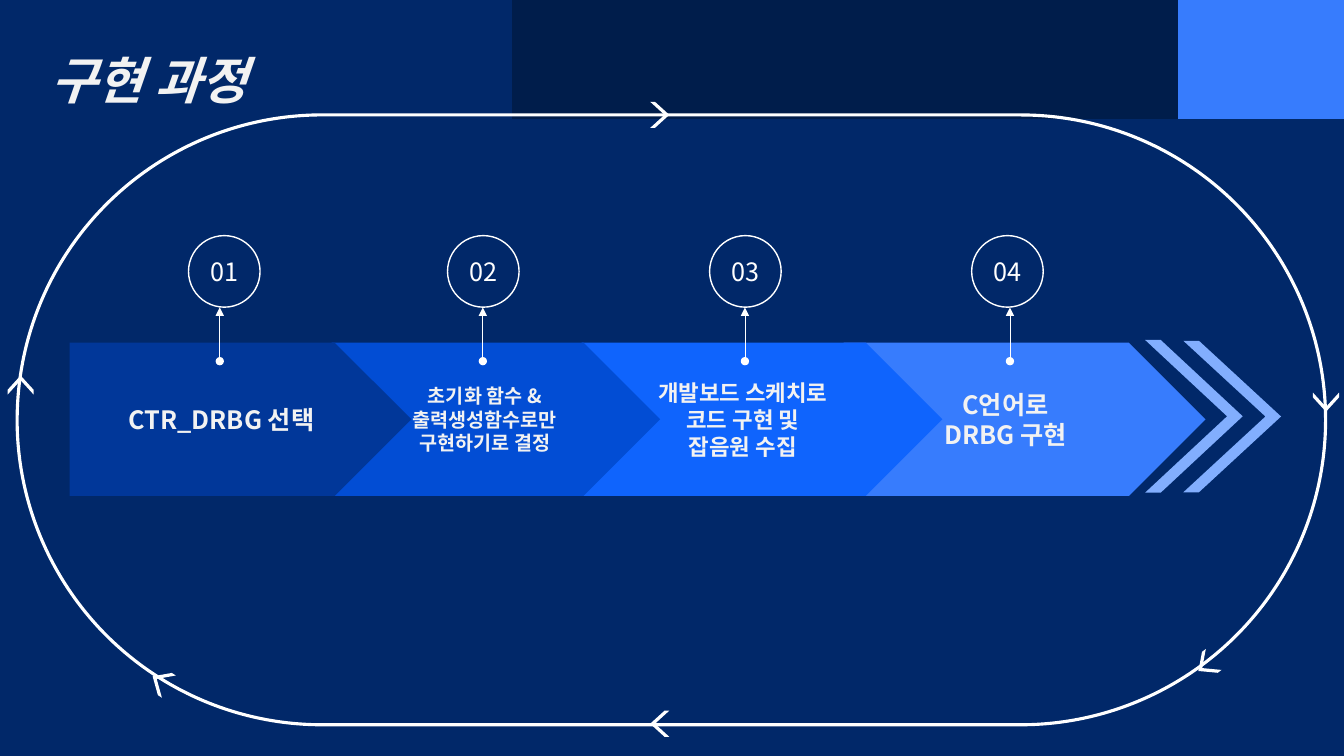
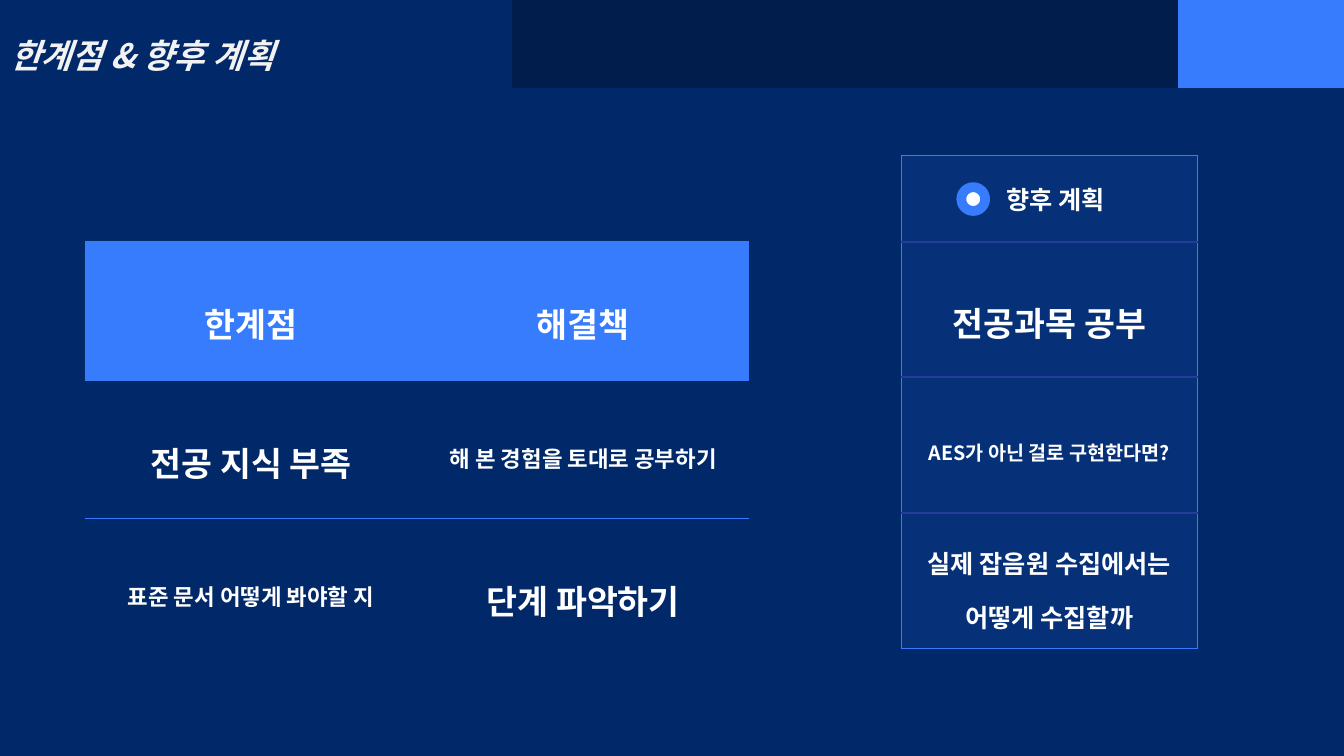
from pptx import Presentation
from pptx.dml.color import RGBColor
from pptx.enum.shapes import MSO_CONNECTOR, MSO_SHAPE
from pptx.enum.text import MSO_ANCHOR, PP_ALIGN
from pptx.oxml.ns import qn
from pptx.util import Pt
from lxml import etree

OVAL, PENTAGON = MSO_SHAPE.OVAL, MSO_SHAPE.PENTAGON
CHEVRON, ROUNDED = MSO_SHAPE.CHEVRON, MSO_SHAPE.ROUNDED_RECTANGLE
LEFT, CENTER = PP_ALIGN.LEFT, PP_ALIGN.CENTER
TOP, MIDDLE = MSO_ANCHOR.TOP, MSO_ANCHOR.MIDDLE

FONT = "Noto Sans CJK KR"
NAVY, DARK, BLUE, PALE = "012869", "001D4B", "377CFD", "82AEFE"
INDIGO, WHITE, OFF_WHITE = "263C9A", "FFFFFF", "F2F2F2"
NO_STYLE = "{2D5ABB26-0587-4C30-8999-92F81FD0307C}"
SLIDE_W, SLIDE_H = 960, 540
INSET = 7.2

# Header band
TITLE_W, BAND_H, BAND_CELLS = 365.8, 63, 5

# Slide 1: left, width, fill, lines, text size, left inset, badge centre, arrow x
STEPS = [
    (49.7, 244.1, "013799", ["CTR_DRBG 선택"], 18, INSET, 160.2, 157),
    (236.9, 234.7, "024DD4", ["초기화 함수 &", "출력생성함수로만", "구현하기로 결정"],
     14, 18.7, 345.2, 344.9),
    (415.4, 257.8, "0F64FD", ["개발보드 스케치로", "코드 구현 및", "잡음원 수집"],
     16, INSET, 532.4, 532.1),
    (602.6, 258.5, BLUE, ["C언어로", "DRBG 구현"], 18, INSET, 719.6, 721.4),
]
STEP_TOP, STEP_H = 244.8, 109.4
BADGE_TOP, BADGE_D = 168.3, 51.1
ARROW_FROM, ARROW_TO = 258, 219.6
END_CHEVRONS = [(817.9, 242.8, 109.2), (845.3, 243.4, 108.2)]  # left, top, height
LOOP = (12.24, 82.1, 934.6, 435.6)
LOOP_MARKS = [  # left, top, rotation
    (940.3, 277.9, 90), (854.6, 465.8, 143), (464.4, 507.6, 180),
    (108, 477.4, 212.2), (7.9, 265.7, 270), (464.4, 72.7, 0),
]

# Slide 2: text lines, size
PLANS = [
    (["향후 계획"], 18),
    (["전공과목 공부"], 24),
    (["AES가 아닌 걸로 구현한다면?"], 14),
    (["실제 잡음원 수집에서는", "어떻게 수집할까"], 18),
]
LIMITS = [
    [([], 18), ([], 18)],
    [(["한계점"], 24), (["해결책"], 24)],
    [(["전공 지식 부족"], 24), (["해 본 경험을 토대로 공부하기"], 16)],
    [(["표준 문서 어떻게 봐야할 지"], 16), (["단계 파악하기"], 24)],
]
TABLES_TOP, FIRST_ROW_H = 110.9, 62


def rgb(color):
    return RGBColor.from_string(color)


def sub(parent, tag, **attrs):
    return etree.SubElement(parent, qn(tag), attrs)


def put_text(tf, lines, size, color=WHITE, bold=True, italic=False,
             align=CENTER, spacing=None):
    tf.text = "\n".join(lines)
    for p in tf.paragraphs:
        p.alignment = align
        if spacing:
            p.line_spacing = spacing
        for r in p.runs:
            r.font.name, r.font.size = FONT, Pt(size)
            r.font.bold, r.font.italic = bold, italic
            r.font.color.rgb = rgb(color)
            sub(r._r.get_or_add_rPr(), "a:ea", typeface=FONT)


def add_shape(s, kind, box, fill=None, line=None, width=1, adj=None, rotation=0):
    sp = s.shapes.add_shape(kind, *map(Pt, box))
    sp.shadow.inherit = False
    sp.rotation = rotation
    if adj is not None:
        sp.adjustments[0] = adj
    if fill:
        sp.fill.solid()
        sp.fill.fore_color.rgb = rgb(fill)
    else:
        sp.fill.background()
    if line:
        sp.line.color.rgb = rgb(line)
        sp.line.width = Pt(width)
    else:
        sp.line.fill.background()
    return sp


def add_pin(s, x, y1, y2):
    """Thin vertical line with a dot at y1 and an arrowhead at y2."""
    c = s.shapes.add_connector(MSO_CONNECTOR.STRAIGHT, Pt(x), Pt(y1), Pt(x), Pt(y2))
    c.line.color.rgb = rgb(WHITE)
    c.line.width = Pt(0.5)
    ln = c.line._get_or_add_ln()
    sub(ln, "a:headEnd", type="oval")
    sub(ln, "a:tailEnd", type="triangle")
    sub(c._element.spPr, "a:effectLst")


def add_table(s, left, top, widths, heights):
    """Plain unstyled table with the given column widths and row heights."""
    t = s.shapes.add_table(len(heights), len(widths), Pt(left), Pt(top),
                           Pt(sum(widths)), Pt(sum(heights))).table
    t.first_row = t.horz_banding = False
    t._tbl.tblPr.find(qn("a:tableStyleId")).text = NO_STYLE
    for col, w in zip(t.columns, widths):
        col.width = Pt(w)
    for row, h in zip(t.rows, heights):
        row.height = Pt(h)
    return t


def format_cell(cell, fill=None, alpha=None, borders=None, anchor=MIDDLE):
    """Borders map a side (L, R, T, B) to a colour and a width."""
    cell.vertical_anchor = anchor
    tcPr = cell._tc.get_or_add_tcPr()
    for side in "LRTB":
        if borders and side in borders:
            color, width = borders[side]
            ln = sub(tcPr, f"a:ln{side}", w=str(Pt(width)))
            sub(sub(ln, "a:solidFill"), "a:srgbClr", val=color)
    if not fill:
        cell.fill.background()
        return
    cell.fill.solid()
    cell.fill.fore_color.rgb = rgb(fill)
    if alpha:
        sub(tcPr.find(qn("a:solidFill"))[0], "a:alpha", val=str(alpha * 1000))


def add_slide(prs):
    s = prs.slides.add_slide(prs.slide_layouts[6])
    s.background.fill.solid()
    s.background.fill.fore_color.rgb = rgb(NAVY)
    return s


def add_header(s, title, size, inset=INSET):
    widths = [TITLE_W] + [(SLIDE_W - TITLE_W) / BAND_CELLS] * BAND_CELLS
    t = add_table(s, 0, 0, widths, [BAND_H])
    fills = [NAVY] + [DARK] * (BAND_CELLS - 1) + [BLUE]
    for cell, fill in zip(t.rows[0].cells, fills):
        format_cell(cell, fill, anchor=TOP)
    cell = t.cell(0, 0)
    cell.margin_left = Pt(inset)
    put_text(cell.text_frame, [title], size, OFF_WHITE, italic=True,
             align=LEFT, spacing=1.5)


def build_process(prs):
    s = add_slide(prs)
    add_header(s, "구현 과정", 36, inset=36)
    for left, width, fill, lines, size, inset, _, _ in reversed(STEPS):
        sp = add_shape(s, PENTAGON, (left, STEP_TOP, width, STEP_H), fill)
        sp.text_frame.margin_left = Pt(inset)
        put_text(sp.text_frame, lines, size, OFF_WHITE)
    for left, top, height in END_CHEVRONS:
        add_shape(s, CHEVRON, (left, top, 69.8, height), PALE, adj=0.84)
    for number, (*_, center, arrow_x) in enumerate(STEPS, 1):
        sp = add_shape(s, OVAL, (center - BADGE_D / 2, BADGE_TOP, BADGE_D, BADGE_D),
                       line=WHITE)
        tf = sp.text_frame
        tf.margin_left = tf.margin_right = 0
        put_text(tf, [f"{number:02}"], 18, bold=False)
        add_pin(s, arrow_x, ARROW_FROM, ARROW_TO)
    add_shape(s, ROUNDED, LOOP, line=WHITE, width=2.25, adj=0.5)
    for left, top, rotation in LOOP_MARKS:
        add_shape(s, CHEVRON, (left, top, 13.7, 18.7), WHITE, adj=0.75,
                  rotation=rotation)


def build_plans(prs):
    s = add_slide(prs)
    edge, divider = (BLUE, 1), (INDIGO, 1.5)

    t = add_table(s, 643.7, TABLES_TOP, [211.7], [FIRST_ROW_H] + [96.7] * 3)
    last = len(PLANS) - 1
    for i, (lines, size) in enumerate(PLANS):
        cell = t.cell(i, 0)
        format_cell(cell, BLUE, 11, {
            "L": edge, "R": edge,
            "T": edge if i == 0 else divider,
            "B": edge if i == last else divider})
        put_text(cell.text_frame, lines, size, spacing=1.5 if i else None)
    t.cell(0, 0).margin_left = Pt(16)

    t = add_table(s, 60.7, TABLES_TOP, [237.3] * 2, [FIRST_ROW_H] + [98.7] * 3)
    last = len(LIMITS) - 1
    for i, row in enumerate(LIMITS):
        borders = {}
        if i > 0:
            borders["T"] = edge
        if i < last:
            borders["B"] = edge
        for cell, (lines, size) in zip(t.rows[i].cells, row):
            format_cell(cell, BLUE if i == 1 else None, borders=borders)
            put_text(cell.text_frame, lines, size, spacing=1.5)

    add_header(s, "한계점 & 향후 계획", 24)
    add_shape(s, OVAL, (686.7, 133.7, 17, 17), WHITE, BLUE, 7)


def main():
    prs = Presentation()
    prs.slide_width, prs.slide_height = Pt(SLIDE_W), Pt(SLIDE_H)
    build_process(prs)
    build_plans(prs)
    prs.save("out.pptx")


if __name__ == "__main__":
    main()
